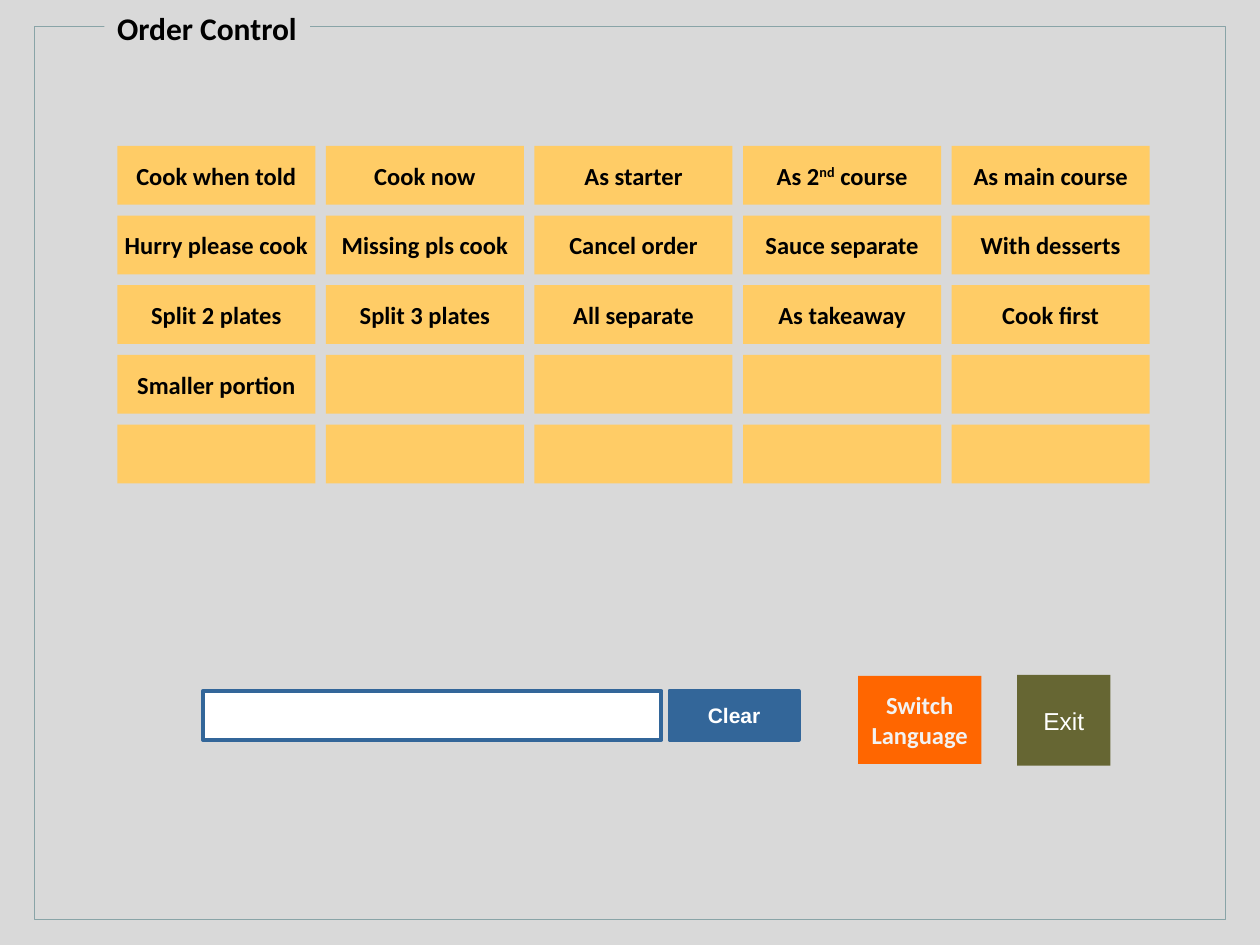
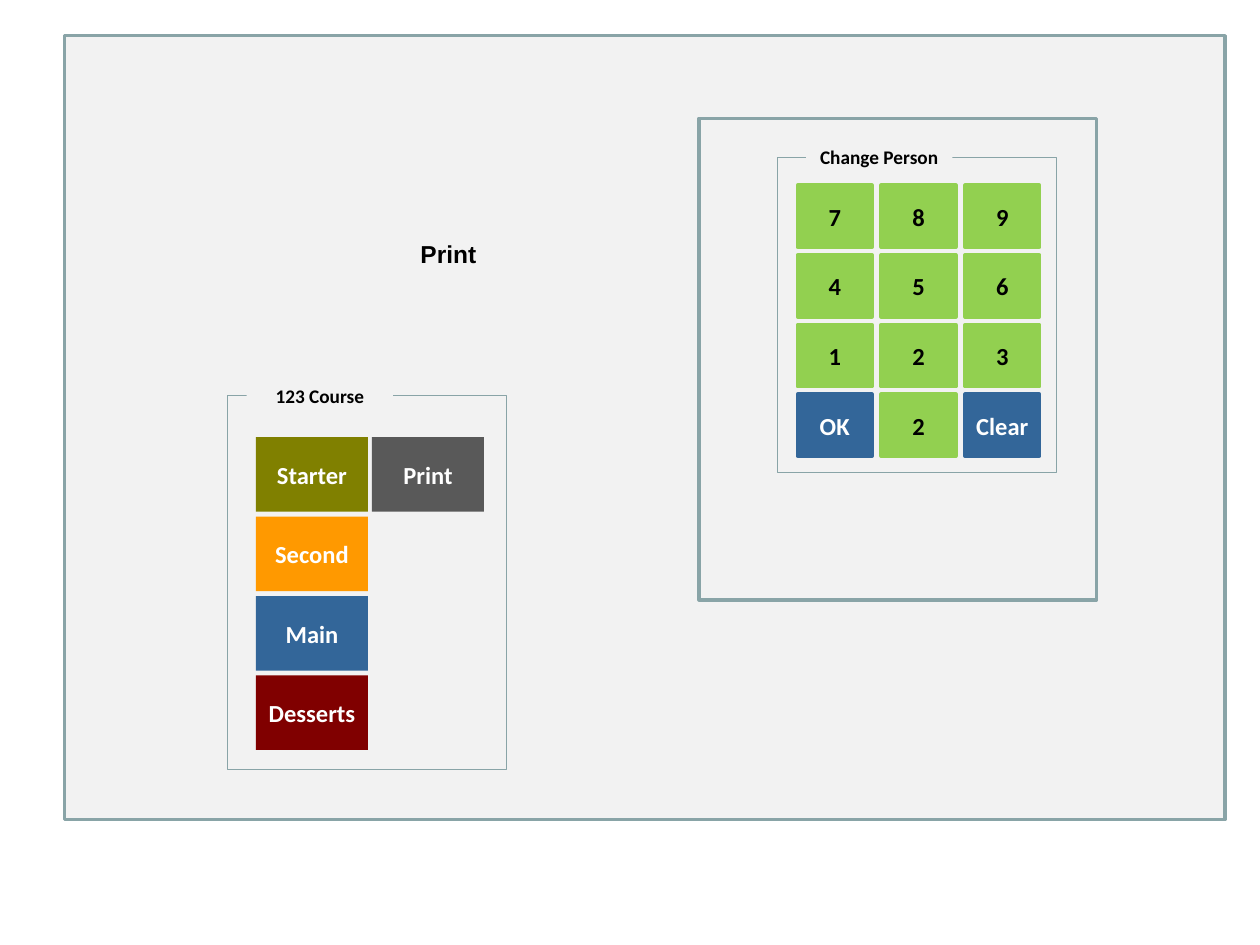
from dataclasses import dataclass

from pptx import Presentation
from pptx.dml.color import RGBColor
from pptx.enum.shapes import MSO_SHAPE
from pptx.enum.text import MSO_ANCHOR, MSO_AUTO_SIZE, PP_ALIGN
from pptx.util import Pt

RECTANGLE = MSO_SHAPE.RECTANGLE
CENTER, LEFT = PP_ALIGN.CENTER, PP_ALIGN.LEFT
MIDDLE, TOP = MSO_ANCHOR.MIDDLE, MSO_ANCHOR.TOP
FIT_SHAPE = MSO_AUTO_SIZE.SHAPE_TO_FIT_TEXT
TITLE_ONLY, BLANK = 5, 6


@dataclass(frozen=True)
class Theme:
    backdrop: str = "D9D9D9"
    panel: str = "F2F2F2"
    frame: str = "89A4A7"
    black: str = "000000"
    white: str = "FFFFFF"
    amber: str = "FFCC66"
    green: str = "92D050"
    blue: str = "336699"
    orange: str = "FF6600"
    light_orange: str = "FF9900"
    moss: str = "666633"
    olive: str = "808000"
    maroon: str = "800000"
    charcoal: str = "595959"
    font: str = "Calibri"
    plain_font: str = "Arial"
    title_size: int = 18
    button_size: int = 14
    clear_size: int = 12
    label_size: int = 11
    thin: float = 0.5
    panel_line: float = 2
    key_line: float = 2.25


theme = Theme()


def style_text(shape, color=theme.black, size=theme.button_size, font=theme.font,
               bold=True, align=CENTER, anchor=MIDDLE, wrap=False):
    frame = shape.text_frame
    frame.word_wrap = wrap
    frame.vertical_anchor = anchor
    for paragraph in frame.paragraphs:
        paragraph.alignment = align
        for run in paragraph.runs:
            run.font.name = font
            run.font.size = Pt(size)
            run.font.bold = bold
            run.font.color.rgb = RGBColor.from_string(color)


def add_box(slide, left, top, width, height, fill=None, line=None,
            line_width=theme.thin, text="", **text_style):
    """Add a rectangle; a missing fill or line colour means none is drawn."""
    shape = slide.shapes.add_shape(RECTANGLE, Pt(left), Pt(top), Pt(width), Pt(height))
    shape.shadow.inherit = False
    if fill:
        shape.fill.solid()
        shape.fill.fore_color.rgb = RGBColor.from_string(fill)
    else:
        shape.fill.background()
    if line:
        shape.line.color.rgb = RGBColor.from_string(line)
        shape.line.width = Pt(line_width)
    else:
        shape.line.fill.background()
    if text:
        shape.text_frame.text = text
        style_text(shape, **text_style)
    return shape


presentation = Presentation()
presentation.slide_width = Pt(720)
presentation.slide_height = Pt(540)

# Order control screen
slide = presentation.slides.add_slide(presentation.slide_layouts[TITLE_ONLY])
add_box(slide, 0, 0, 720, 540, theme.backdrop)
add_box(slide, 19.5, 15, 680.5, 510.5, line=theme.frame)

title = slide.shapes.title
title.left, title.top, title.width, title.height = Pt(59.7), Pt(1.4), Pt(117.4), Pt(29)
title.fill.solid()
title.fill.fore_color.rgb = RGBColor.from_string(theme.backdrop)
title.text_frame.text = "Order Control"
title.text_frame.auto_size = FIT_SHAPE
style_text(title, size=theme.title_size, align=LEFT, anchor=TOP)
# The title covers a piece of the frame, so it goes in front of it
title.element.getparent().append(title.element)

order_rows = [
    ["Cook when told", "Cook now", "As starter", "As 2", "As main course"],
    ["Hurry please cook", "Missing pls cook", "Cancel order", "Sauce separate", "With desserts"],
    ["Split 2 plates", "Split 3 plates", "All separate", "As takeaway", "Cook first"],
    ["Smaller portion", "", "", "", ""],
    [""] * 5,
]
for row, labels in enumerate(order_rows):
    for column, label in enumerate(labels):
        button = add_box(slide, 67 + column * 119.2, 83.4 + row * 39.8, 113.2, 33.6,
                         theme.amber, text=label)
        if label == "As 2":
            paragraph = button.text_frame.paragraphs[0]
            ordinal = paragraph.add_run()
            ordinal.text = "nd"
            ordinal.font._element.set("baseline", "30000")
            paragraph.add_run().text = " course"
            style_text(button)

add_box(slide, 116, 394.8, 262, 28, theme.white, theme.blue, theme.key_line)
add_box(slide, 382.6, 394.8, 73.8, 28, theme.blue, theme.blue, theme.key_line, "Clear",
        color=theme.white, size=theme.clear_size, font=theme.plain_font)
add_box(slide, 490.3, 386.2, 70.5, 50.4, theme.orange, text="Switch\nLanguage",
        color=theme.panel)
add_box(slide, 581.2, 385.7, 53.4, 51.8, theme.moss, text="Exit",
        color=theme.white, font=theme.plain_font, bold=False)

# Course and person screen
slide = presentation.slides.add_slide(presentation.slide_layouts[BLANK])
for panel in [(36.8, 20.4, 663.2, 448), (399.6, 67.6, 227, 275.2)]:
    add_box(slide, *panel, theme.panel, theme.frame, theme.panel_line)

groups = [
    ("Change Person", (444.2, 89.8, 159.4, 180), (460.6, 79.4, 83.6, 20.6)),
    ("123 Course", (130, 226, 159.4, 214), (141, 216, 83.6, 20.6)),
]
for name, frame_place, label_place in groups:
    add_box(slide, *frame_place, line=theme.frame)
    label = add_box(slide, *label_place, theme.panel, text=name,
                    size=theme.label_size, anchor=TOP, wrap=True)
    label.text_frame.auto_size = FIT_SHAPE

keypad = [["7", "8", "9"], ["4", "5", "6"], ["1", "2", "3"], ["OK", "2", "Clear"]]
for row, keys in enumerate(keypad):
    for column, key in enumerate(keys):
        fill, color = (theme.green, theme.black) if key.isdigit() else (theme.blue, theme.white)
        add_box(slide, 455.8 + column * 47.9, 105.9 + row * 39.8, 42.4, 35.4,
                fill, fill, theme.key_line, key, color=color)

course_buttons = [
    ("Starter", theme.olive, 0, 0),
    ("Second", theme.light_orange, 0, 1),
    ("Main", theme.blue, 0, 2),
    ("Desserts", theme.maroon, 0, 3),
    ("Print", theme.charcoal, 1, 0),
]
for name, fill, column, row in course_buttons:
    add_box(slide, 146.3 + column * 66.3, 249.8 + row * 45.4, 64, 42.6,
            fill, text=name, color=theme.white)

print_caption = slide.shapes.add_textbox(Pt(233.2), Pt(133.2), Pt(58.4), Pt(24.4))
print_caption.text_frame.text = "Print"
style_text(print_caption, font=theme.plain_font, align=LEFT, anchor=TOP, wrap=True)

presentation.save("out.pptx")
